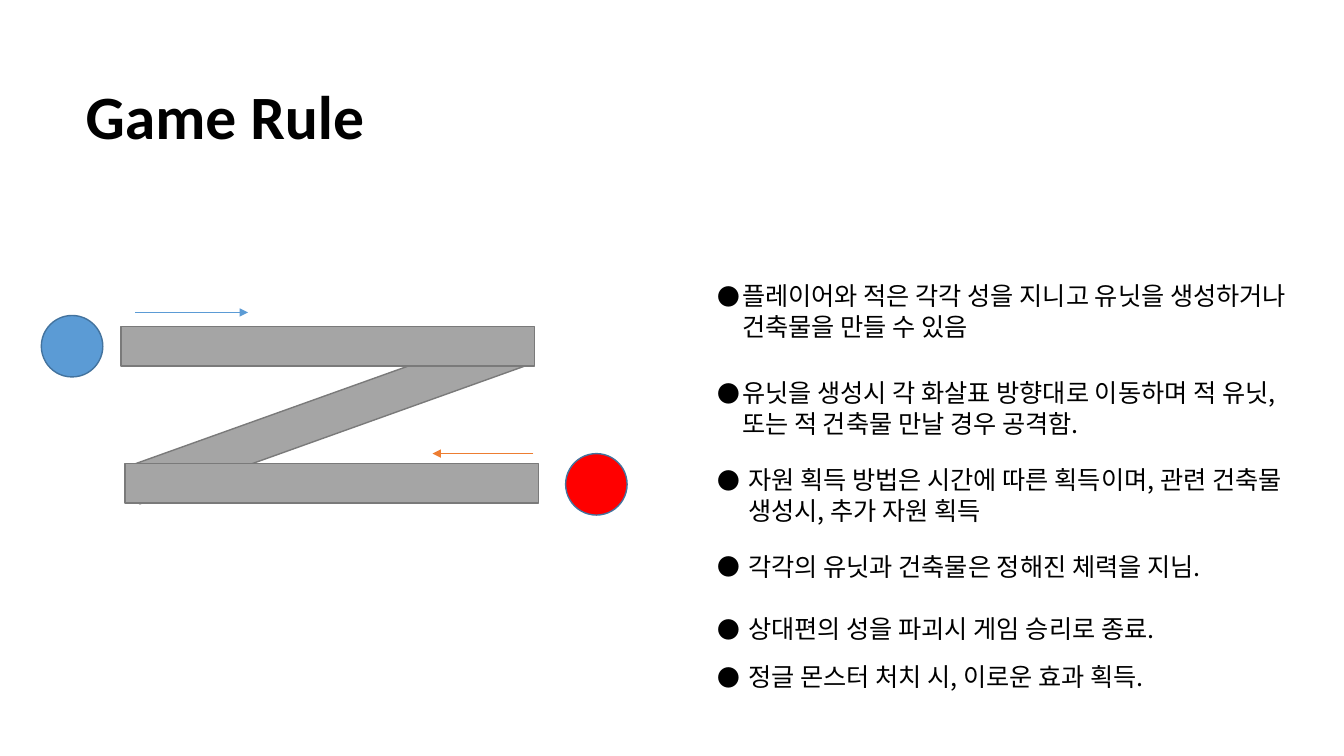
from dataclasses import dataclass

from lxml.etree import SubElement
from pptx import Presentation
from pptx.dml.color import RGBColor
from pptx.enum.shapes import MSO_CONNECTOR as Connector, MSO_SHAPE as Preset
from pptx.enum.text import MSO_ANCHOR as Anchor, MSO_AUTO_SIZE as AutoSize, PP_ALIGN as Align
from pptx.oxml.ns import qn
from pptx.util import Inches, Pt


@dataclass(frozen=True)
class Theme:
    text: str = "000000"
    lane: str = "A5A5A5"
    lane_edge: str = "7A7A7A"
    player: str = "5B9BD5"
    enemy: str = "FF0000"
    enemy_arrow: str = "ED7D31"
    castle_edge: str = "43739E"
    title_font: str = "Calibri"
    rule_font: str = "Noto Sans CJK KR"
    title_size: float = 44
    rule_size: float = 18
    rule_line: float = 22


THEME = Theme()

# Wording, hanging indent in inches, space before in points
RULES = [
    ("플레이어와 적은 각각 성을 지니고 유닛을 생성하거나 건축물을 만들 수 있음", 0.24, 0),
    ("유닛을 생성시 각 화살표 방향대로 이동하며 적 유닛, 또는 적 건축물 만날 경우 공격함.", 0.24, 25),
    ("자원 획득 방법은 시간에 따른 획득이며, 관련 건축물 생성시, 추가 자원 획득", 0.3, 18),
    ("각각의 유닛과 건축물은 정해진 체력을 지님.", 0.3, 18),
    ("상대편의 성을 파괴시 게임 승리로 종료.", 0.3, 22.5),
    ("정글 몬스터 처치 시, 이로운 효과 획득.", 0.3, 12.5),
]


def color(value):
    return RGBColor.from_string(value)


def place(shape, left, top, width, height):
    shape.left, shape.top = Inches(left), Inches(top)
    shape.width, shape.height = Inches(width), Inches(height)


def prepare_frame(shape, anchor):
    frame = shape.text_frame
    frame.word_wrap = True
    frame.auto_size = AutoSize.NONE
    frame.vertical_anchor = anchor
    return frame


def add_title(slide, box):
    title = slide.shapes.title
    place(title, *box)
    frame = prepare_frame(title, Anchor.MIDDLE)
    frame.text = "Game Rule"
    paragraph = frame.paragraphs[0]
    paragraph.alignment = Align.LEFT
    font = paragraph.font
    font.name, font.size, font.bold = THEME.title_font, Pt(THEME.title_size), True
    font.color.rgb = color(THEME.text)


def set_bullet(paragraph, indent):
    properties = paragraph._p.get_or_add_pPr()
    properties.set("marL", str(Inches(indent)))
    properties.set("indent", str(-Inches(indent)))
    SubElement(properties, qn("a:buSzPct"), val="90000")
    SubElement(properties, qn("a:buFont"), typeface=THEME.rule_font)
    SubElement(properties, qn("a:buChar"), char="●")


def add_rules(slide, box):
    body = slide.placeholders[1]
    place(body, *box)
    frame = prepare_frame(body, Anchor.TOP)
    frame.margin_left = frame.margin_right = 0
    frame.text = "\n".join(text for text, _, _ in RULES)
    for paragraph, (_, indent, gap) in zip(frame.paragraphs, RULES):
        set_bullet(paragraph, indent)
        paragraph.alignment = Align.LEFT
        paragraph.line_spacing = Pt(THEME.rule_line)
        paragraph.space_before, paragraph.space_after = Pt(gap), Pt(0)
        font = paragraph.font
        font.name, font.size = THEME.rule_font, Pt(THEME.rule_size)
        font.color.rgb = color(THEME.text)
        for run in paragraph.runs:
            SubElement(run._r.get_or_add_rPr(), qn("a:ea"), typeface=THEME.rule_font)


def add_filled(slide, preset, box, fill, edge):
    shape = slide.shapes.add_shape(preset, *map(Inches, box))
    shape.shadow.inherit = False
    shape.fill.solid()
    shape.fill.fore_color.rgb = color(fill)
    shape.line.color.rgb = color(edge)
    shape.line.width = Pt(1)
    return shape


def add_arrow(slide, start, end, line_color):
    arrow = slide.shapes.add_connector(Connector.STRAIGHT, *map(Inches, (*start, *end)))
    arrow.line.color.rgb = color(line_color)
    arrow.line.width = Pt(0.5)
    SubElement(arrow.line._get_or_add_ln(), qn("a:tailEnd"), type="triangle")
    SubElement(arrow._element.spPr, qn("a:effectLst"))


def add_battlefield(slide, box):
    """Draw the Z-shaped lane between the two castles, with marching directions."""
    left, top, width, height = box
    castle, lane_width, lane_height = 0.61, 4.1, 0.39

    def add_lane(x, y):
        lane_box = (left + x, top + y, lane_width, lane_height)
        return add_filled(slide, Preset.RECTANGLE, lane_box, THEME.lane, THEME.lane_edge)

    add_lane(0.79, 0.83).rotation = 340.3
    for x, y, fill in ((0, 0.03, THEME.player),
                       (width - castle, height - castle, THEME.enemy)):
        castle_box = (left + x, top + y, castle, castle)
        add_filled(slide, Preset.OVAL, castle_box, fill, THEME.castle_edge)
    add_lane(0.79, 0.14)
    add_lane(0.83, 1.5)
    add_arrow(slide, (left + 0.93, top), (left + 2.05, top), THEME.player)
    add_arrow(slide, (left + 4.88, top + 1.4), (left + 3.88, top + 1.4), THEME.enemy_arrow)


def main():
    presentation = Presentation()
    presentation.slide_width, presentation.slide_height = Inches(13.33), Inches(7.5)
    slide = presentation.slides.add_slide(presentation.slide_layouts[1])
    add_title(slide, (0.75, 0.72, 3.42, 0.84))
    add_battlefield(slide, (0.41, 3.1, 5.81, 2.01))
    add_rules(slide, (7.12, 2.73, 6, 4.18))
    presentation.save("out.pptx")


if __name__ == "__main__":
    main()
